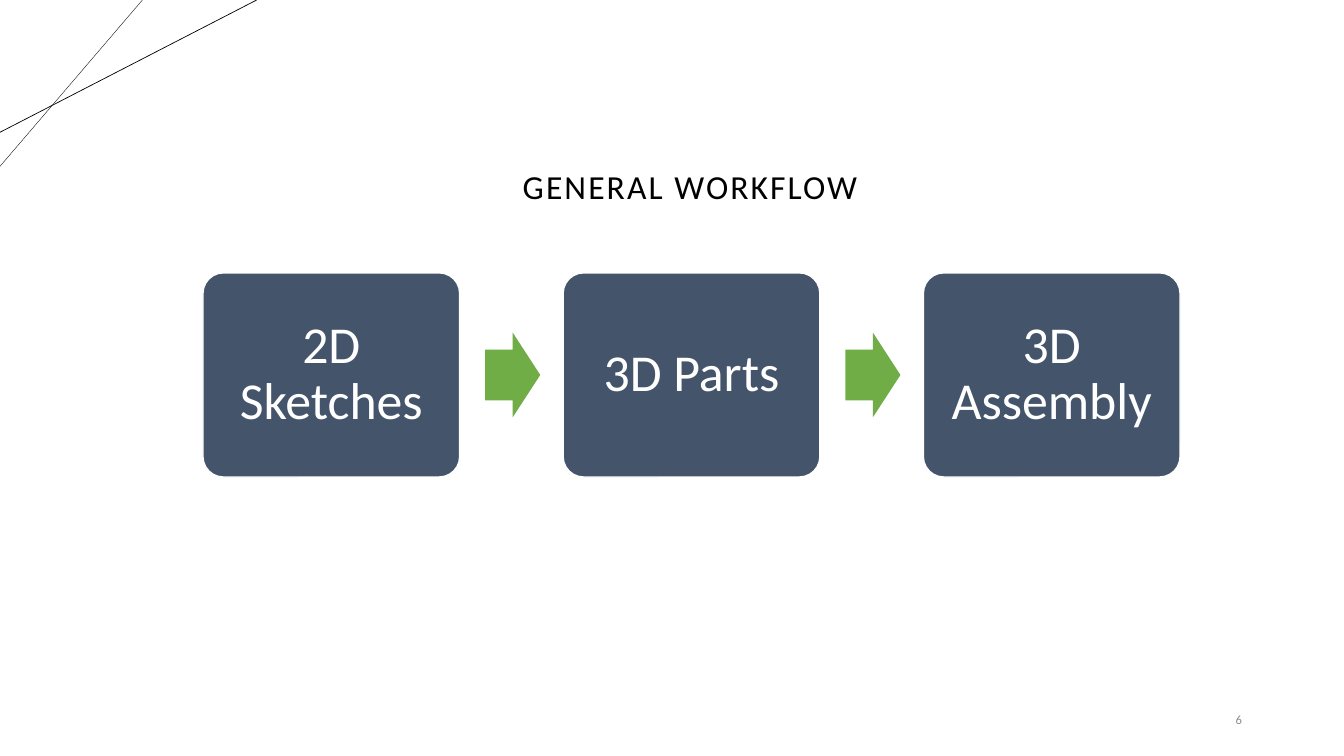
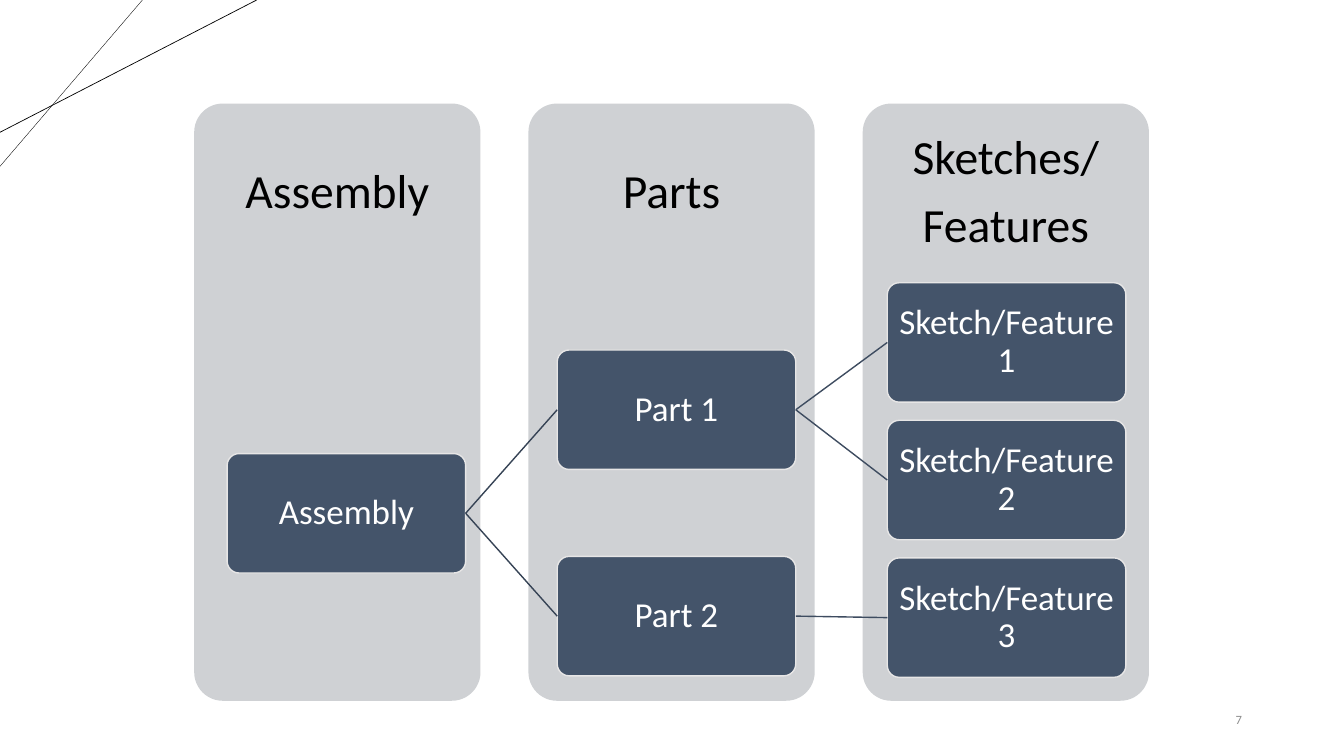
from lxml.etree import SubElement
from pptx import Presentation
from pptx.dml.color import RGBColor
from pptx.enum.shapes import MSO_CONNECTOR, MSO_SHAPE
from pptx.enum.text import MSO_ANCHOR, PP_ALIGN
from pptx.oxml.ns import qn
from pptx.util import Inches, Pt

TOP, LEFT, BOTTOM, RIGHT = range(4)


def colour(hex_string):
    return RGBColor.from_string(hex_string)


class Deck:
    """Shared style and the current slide; lengths are percent of the slide."""

    font = "Calibri"
    black, white, grey = "000000", "FFFFFF", "8C8C8C"
    navy, green, panel_fill, pale = "44546A", "70AD47", "CFD1D4", "E7E6E6"

    def __init__(self):
        self.presentation = Presentation()
        self.presentation.slide_width = Inches(13.33)
        self.presentation.slide_height = Inches(7.5)
        self.slide = None

    def across(self, share):
        return round(self.presentation.slide_width * share / 100)

    def down(self, share):
        return round(self.presentation.slide_height * share / 100)

    def place(self, left, top, width, height):
        return self.across(left), self.down(top), self.across(width), self.down(height)

    def add_slide(self, number):
        self.slide = self.presentation.slides.add_slide(self.presentation.slide_layouts[6])
        # Crossing corner lines
        self.line((10.6, 0), (0, 22), self.black, 0.25)
        self.line((19.1, 0), (0, 17.5), self.black, 0.5)
        # Slide number
        self.text_box(str(number), (85.05, 92.7, 8.1, 5.3), 9, self.grey, PP_ALIGN.RIGHT)

    def line(self, start, end, line_colour, weight):
        connector = self.slide.shapes.add_connector(
            MSO_CONNECTOR.STRAIGHT, self.across(start[0]), self.down(start[1]),
            self.across(end[0]), self.down(end[1]))
        connector.line.color.rgb = colour(line_colour)
        connector.line.width = Pt(weight)
        SubElement(connector._element.spPr, qn("a:effectLst"))
        return connector

    def join(self, parent, child, line_colour):
        connector = self.line((0, 0), (0, 0), line_colour, 1)
        connector.begin_connect(parent, RIGHT)
        connector.end_connect(child, LEFT)

    def shape(self, kind, area, fill, outline=None, adjustments=(0.1,)):
        shape = self.slide.shapes.add_shape(kind, *self.place(*area))
        shape.shadow.inherit = False
        for index, value in enumerate(adjustments):
            shape.adjustments[index] = value
        shape.fill.solid()
        shape.fill.fore_color.rgb = colour(fill)
        if outline:
            shape.line.color.rgb = colour(outline)
            shape.line.width = Pt(1)
        else:
            shape.line.fill.background()
        return shape

    def set_text(self, shape, text, size, text_colour, align=PP_ALIGN.CENTER, inset=None):
        frame = shape.text_frame
        frame.word_wrap = True
        frame.vertical_anchor = MSO_ANCHOR.MIDDLE
        if inset is not None:
            frame.margin_left = frame.margin_right = Inches(inset)
            frame.margin_top = frame.margin_bottom = Inches(inset)
        frame.text = text
        for paragraph in frame.paragraphs:
            paragraph.alignment = align
            paragraph.line_spacing = 0.9
            paragraph.font.name = self.font
            paragraph.font.size = Pt(size)
            paragraph.font.color.rgb = colour(text_colour)
        for paragraph in frame.paragraphs[:-1]:
            paragraph.space_after = Pt(round(size * 0.35))

    def text_box(self, text, area, size, text_colour, align=PP_ALIGN.CENTER, inset=None):
        box = self.slide.shapes.add_textbox(*self.place(*area))
        self.set_text(box, text, size, text_colour, align, inset)
        return box

    def title(self, text):
        box = self.text_box(text, (31.1, 16.1, 40.5, 17.6), 24, self.black)
        run = box.text_frame.paragraphs[0].runs[0]
        run._r.get_or_add_rPr().set("spc", "150")

    def box(self, text, area, size, outline, inset):
        shape = self.shape(MSO_SHAPE.ROUNDED_RECTANGLE, area, self.navy, outline)
        self.set_text(shape, text, size, self.white, inset=inset)
        return shape

    def arrow(self, area):
        self.shape(MSO_SHAPE.RIGHT_ARROW, area, self.green, adjustments=(0.6, 0.5))

    def panel(self, heading, left):
        top, width, height = 13.7, 21.3, 79
        self.shape(MSO_SHAPE.ROUNDED_RECTANGLE, (left, top, width, height), self.panel_fill)
        self.text_box(heading, (left, top, width, height * 0.3), 34, self.black, inset=0.26)


def workflow_slide(deck):
    deck.add_slide(6)
    left, pitch, top, width, height = 15.1, 26.8, 36.1, 19.1, 27
    arrow_height = 11.2
    for index, step in enumerate(("2D Sketches", "3D Parts", "3D Assembly")):
        step_left = left + index * pitch
        if index:
            deck.arrow((step_left - 5.8, top + (height - arrow_height) / 2, 4.1, arrow_height))
        deck.box(step, (step_left, top, width, height), 37, deck.white, 0.15)
    deck.title("GENERAL WORKFLOW")


def hierarchy_slide(deck):
    deck.add_slide(7)
    # Level panels
    for level, heading in enumerate(("Assembly", "Parts", "Sketches/\nFeatures")):
        deck.panel(heading, 14.45 + level * 24.87)

    # Tree nodes: name, level, top
    nodes = [("Assembly", 0, 60)]
    nodes += [(f"Part {i + 1}", 1, 46.3 + i * 27.3) for i in range(2)]
    nodes += [(f"Sketch/Feature {i + 1}", 2, 37.4 + i * 18.2) for i in range(3)]
    boxes = {
        name: deck.box(name, (16.9 + level * 24.56, top, 17.75, 15.8), 25, deck.pale, 0.02)
        for name, level, top in nodes
    }

    # Branches from each parent to its children
    branches = (
        ("Assembly", ("Part 1", "Part 2"), "364355"),
        ("Part 1", ("Sketch/Feature 1", "Sketch/Feature 2"), "3E4C60"),
        ("Part 2", ("Sketch/Feature 3",), "3E4C60"),
    )
    for parent, children, line_colour in branches:
        for child in children:
            deck.join(boxes[parent], boxes[child], line_colour)


def main():
    deck = Deck()
    workflow_slide(deck)
    hierarchy_slide(deck)
    deck.presentation.save("out.pptx")


if __name__ == "__main__":
    main()
